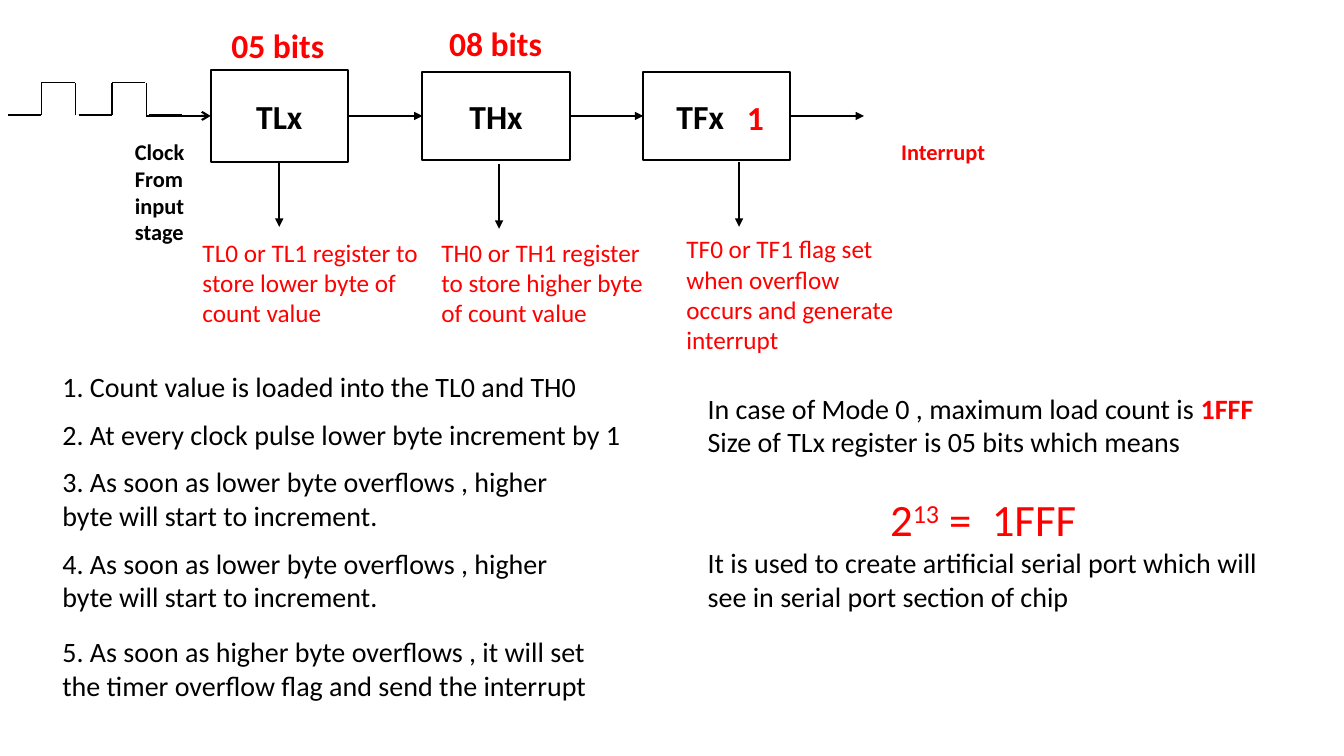
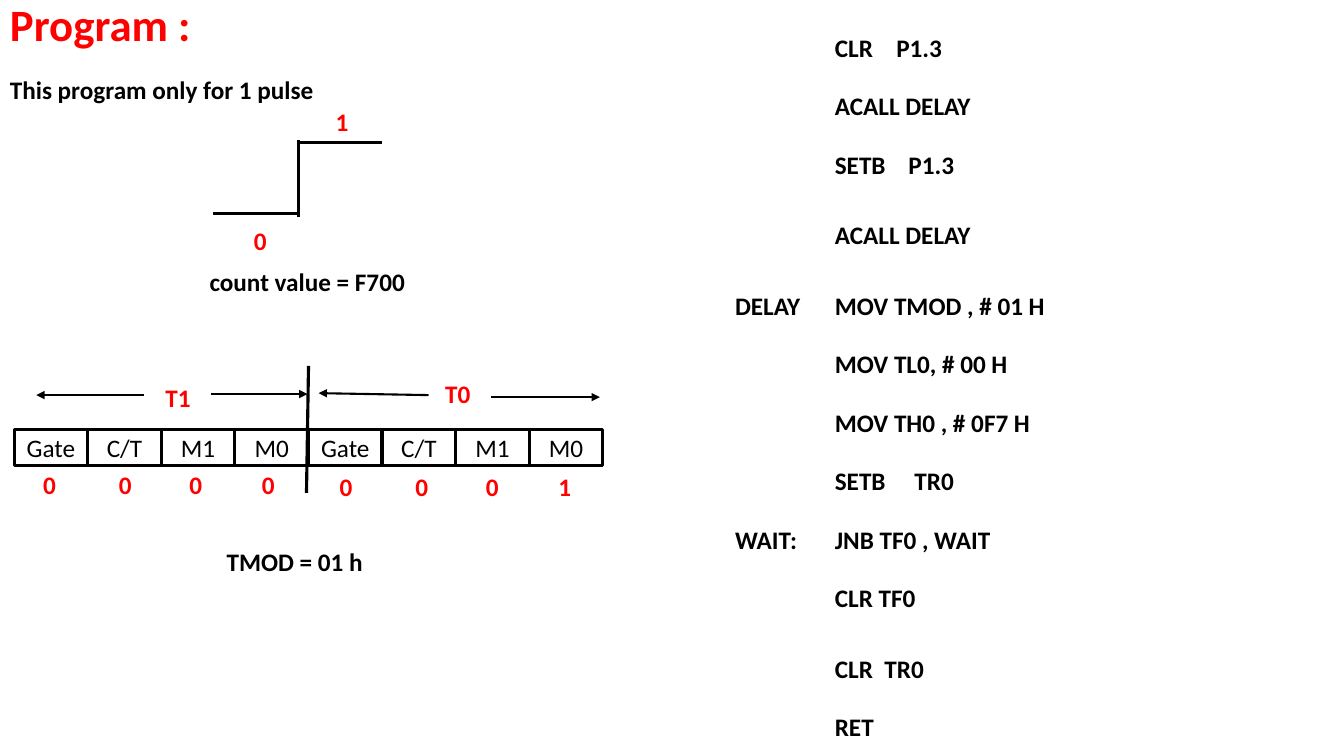
import dataclasses

import lxml.etree
import pptx
import pptx.dml.color
import pptx.enum.shapes
import pptx.enum.text
import pptx.oxml.ns
import pptx.util
from pptx.util import Inches


@dataclasses.dataclass(frozen=True)
class Theme:
    font: str = "Calibri"
    ink: pptx.dml.color.RGBColor = pptx.dml.color.RGBColor(0, 0, 0)
    accent: pptx.dml.color.RGBColor = pptx.dml.color.RGBColor(255, 0, 0)
    title: int = 32
    block: int = 24
    body: int = 20
    label: int = 18
    small: int = 16
    thin: float = 1
    medium: float = 1.5
    thick: float = 2.25


theme = Theme()
qn = pptx.oxml.ns.qn
CENTER = pptx.enum.text.PP_ALIGN.CENTER
LEFT = pptx.enum.text.PP_ALIGN.LEFT


def add_text(slide, at, lines, size, color=theme.ink, bold=False, align=LEFT, wrap=True, outline=None):
    position = [Inches(length) for length in at]
    if outline:
        shape = slide.shapes.add_shape(pptx.enum.shapes.MSO_SHAPE.RECTANGLE, *position)
        shape.shadow.inherit = False
        shape.fill.background()
        shape.line.color.rgb = theme.ink
        shape.line.width = pptx.util.Pt(outline)
        shape.text_frame.vertical_anchor = pptx.enum.text.MSO_ANCHOR.MIDDLE
    else:
        shape = slide.shapes.add_textbox(*position)
    shape.text_frame.word_wrap = wrap
    shape.text_frame.text = lines
    for paragraph in shape.text_frame.paragraphs:
        paragraph.alignment = align
        paragraph.font.name = theme.font
        paragraph.font.size = pptx.util.Pt(size)
        paragraph.font.color.rgb = color
        paragraph.font.bold = bold
    return shape


def add_line(slide, start, end, width, arrow=None):
    connector = slide.shapes.add_connector(
        pptx.enum.shapes.MSO_CONNECTOR.STRAIGHT, *[Inches(length) for length in (*start, *end)])
    connector.line.color.rgb = theme.ink
    connector.line.width = pptx.util.Pt(width)
    if arrow:
        lxml.etree.SubElement(connector.line._get_or_add_ln(), qn("a:tailEnd"), type=arrow)
    lxml.etree.SubElement(connector._element.spPr, qn("a:effectLst"))
    return connector


presentation = pptx.Presentation()
presentation.slide_width = Inches(13.33)
presentation.slide_height = Inches(7.5)
blank = presentation.slide_layouts[6]

mode_slide = presentation.slides.add_slide(blank)

registers = [
    add_text(mode_slide, at, name, theme.block, bold=True, align=align, outline=theme.medium)
    for name, at, align in (
        ("TLx", (2.09, 0.69, 1.36, 0.92), CENTER),
        ("THx", (4.19, 0.71, 1.46, 0.88), CENTER),
        ("TFx", (6.38, 0.71, 1.46, 0.88), LEFT),
    )
]
low_register, high_register, flag = registers
flag.text_frame.margin_left = Inches(0.33)
add_text(mode_slide, (7.31, 0.91, 0.59, 0.5), "1", theme.block, theme.accent, True)

flow_y = 1.15
clock_arrow = add_line(mode_slide, (1.45, flow_y), (2.09, flow_y), theme.medium, "arrow")
clock_arrow.end_connect(low_register, 1)
for source, target in zip(registers, registers[1:]):
    carry_arrow = add_line(mode_slide, (3.45, flow_y), (4.19, flow_y), theme.medium, "triangle")
    carry_arrow.begin_connect(source, 3)
    carry_arrow.end_connect(target, 1)
interrupt_arrow = add_line(mode_slide, (7.84, flow_y), (8.57, flow_y), theme.medium, "triangle")
interrupt_arrow.begin_connect(flag, 3)

low_y, high_y, period = 1.14, 0.82, 0.7
for pulse in range(3):
    left = 0.08 + pulse * period
    add_line(mode_slide, (left, low_y), (left + 0.33, low_y), theme.thin)
    if pulse < 2:
        add_line(mode_slide, (left + 0.33, high_y), (left + 0.33, low_y), theme.thin)
        add_line(mode_slide, (left + 0.33, high_y), (left + 0.66, high_y), theme.thin)
        add_line(mode_slide, (left + 0.67, high_y), (left + 0.67, low_y), theme.thin)

down_arrows = [
    add_line(mode_slide, (x, top), (x, top + 0.64), theme.medium, "triangle")
    for x, top in ((2.77, 1.61), (4.95, 1.63), (7.33, 1.61))
]
down_arrows[0].begin_connect(low_register, 2)

add_text(mode_slide, (1.24, 1.32, 1.07, 1.03), "Clock\nFrom input stage", theme.small, bold=True)
add_text(mode_slide, (8.84, 1.32, 1.33, 0.37), "Interrupt", theme.small, theme.accent, True)
for left, top, bits in ((2.15, 0.2, "05 bits"), (4.31, 0.18, "08 bits")):
    add_text(mode_slide, (left, top, 1.21, 0.44), bits, theme.block, theme.accent, True, CENTER)
for left, top, purpose in (
    (1.91, 2.3, "TL0 or TL1 register to store lower byte of count value"),
    (4.28, 2.3, "TH0 or TH1 register to store higher byte of count value"),
    (6.71, 2.27, "TF0 or TF1 flag set when overflow occurs and generate interrupt"),
):
    add_text(mode_slide, (left, top, 2.39, 1.15), purpose, theme.label, theme.accent)

for top, width, step in (
    (3.62, 5.39, "1. Count value is loaded into the TL0 and TH0"),
    (4.09, 5.81, "2. At every clock pulse lower byte increment by 1"),
    (4.56, 5.39, "3. As soon as lower byte overflows , higher byte will start to increment."),
    (5.37, 5.39, "4. As soon as lower byte overflows , higher byte will start to increment."),
    (6.25, 5.45, "5. As soon as higher byte overflows , it will set the timer overflow flag and send the interrupt"),
):
    add_text(mode_slide, (0.52, top, width, 0.77), step, theme.body)

summary = add_text(
    mode_slide, (6.92, 3.83, 6.04, 2.32),
    "In case of Mode 0 , maximum load count is \n"
    "Size of TLx register is 05 bits which means\n"
    "2\n"
    "It is used to create artificial serial port which will see in serial port section of chip",
    theme.body)
maximum, _, formula, _ = summary.text_frame.paragraphs
limit = maximum.add_run()
limit.text = "1FFF"
limit.font.bold = True
limit.font.color.rgb = theme.accent
formula.font.size = pptx.util.Pt(theme.title)
formula.font.color.rgb = theme.accent
formula.space_before = pptx.util.Pt(24)
formula_properties = formula._p.get_or_add_pPr()
formula_properties.set("marL", str(Inches(1.81)))
formula_properties.set("indent", "0")
exponent = formula.add_run()
exponent.text = "13"
exponent.font._element.set("baseline", "30000")
formula.add_run().text = " =  1FFF"

program_slide = presentation.slides.add_slide(blank)

add_text(program_slide, (0, -0.08, 2.01, 0.64), "Program :", theme.title, theme.accent, True, wrap=False)
for at, caption in (
    ((0, 0.69, 3.24, 0.4), "This program only for 1 pulse"),
    ((1.98, 2.59, 2.16, 0.4), "count value = F700"),
    ((2.15, 5.37, 1.57, 0.4), "TMOD = 01 h"),
):
    add_text(program_slide, at, caption, theme.label, bold=True, wrap=False)

for start, end in (
    ((2.95, 1.41), (3.79, 1.41)),
    ((2.11, 2.12), (2.95, 2.12)),
    ((2.96, 1.39), (2.96, 2.15)),
    ((3.04, 4.89), (3.06, 3.63)),
):
    add_line(program_slide, start, end, theme.thick)
for left, top, level in ((2.42, 2.19, "0"), (3.23, 1.01, "1")):
    add_text(program_slide, (left, top, 0.46, 0.4), level, theme.label, theme.accent, True)

field_width = 0.73
for index, field in enumerate(("Gate", "C/T", "M1", "M0") * 2):
    add_text(program_slide, (0.14 + index * field_width, 4.26, field_width, 0.36), field,
             theme.label, align=CENTER, outline=theme.thick)
for half, bits in enumerate(("0000", "0001")):
    for left, bit in zip((0.33, 1.08, 1.78, 2.5), bits):
        add_text(program_slide, (left + half * 2.94, 4.61 + half * 0.02, 0.45, 0.4), bit,
                 theme.label, theme.accent, True)

for start, end in (
    ((1.43, 3.92), (0.36, 3.92)),
    ((2.09, 3.91), (3.05, 3.91)),
    ((4.25, 3.92), (3.16, 3.9)),
    ((4.87, 3.94), (5.95, 3.94)),
):
    add_line(program_slide, start, end, theme.medium, "triangle")
for at, timer in (((4.3, 3.7, 0.48, 0.4), "T0"), ((1.46, 3.74, 0.61, 0.4), "T1")):
    add_text(program_slide, at, timer, theme.label, theme.accent, True, CENTER)

normal_row, tall_row = 0.58, 0.7
program = (
    ("", "CLR\tP1.3", normal_row, 0.61),
    ("", "ACALL DELAY", normal_row, None),
    ("", "SETB\tP1.3", tall_row, 0.73),
    ("", "ACALL DELAY", tall_row, None),
    ("DELAY", "MOV TMOD , # 01 H", normal_row, None),
    ("", "MOV TL0, # 00 H", normal_row, None),
    ("", "MOV TH0 , # 0F7 H", normal_row, None),
    ("", "SETB\tTR0", normal_row, 0.79),
    ("WAIT:", "JNB TF0 , WAIT", normal_row, None),
    ("", "CLR TF0", tall_row, None),
    ("", "CLR  TR0", normal_row, None),
    ("", "RET", normal_row, None),
)
table = program_slide.shapes.add_table(
    len(program), 3, Inches(7.19), Inches(0.28), Inches(4.37), Inches(7.32)).table
table.first_row = False
table.horz_banding = False
for column, width in zip(table.columns, (0.99, 2.32, 1.06)):
    column.width = Inches(width)
for row, (label, instruction, height, operand_tab) in zip(table.rows, program):
    row.height = Inches(height)
    for cell, text in zip(row.cells, (label, instruction, "")):
        cell.fill.background()
        cell.text = text
        paragraph = cell.text_frame.paragraphs[0]
        if "\t" in text:
            tabs = lxml.etree.SubElement(paragraph._p.get_or_add_pPr(), qn("a:tabLst"))
            lxml.etree.SubElement(tabs, qn("a:tab"), pos=str(Inches(operand_tab)), algn="l")
        paragraph.font.name = theme.font
        paragraph.font.size = pptx.util.Pt(theme.label)
        paragraph.font.color.rgb = theme.ink
        paragraph.font.bold = True

presentation.save("out.pptx")
